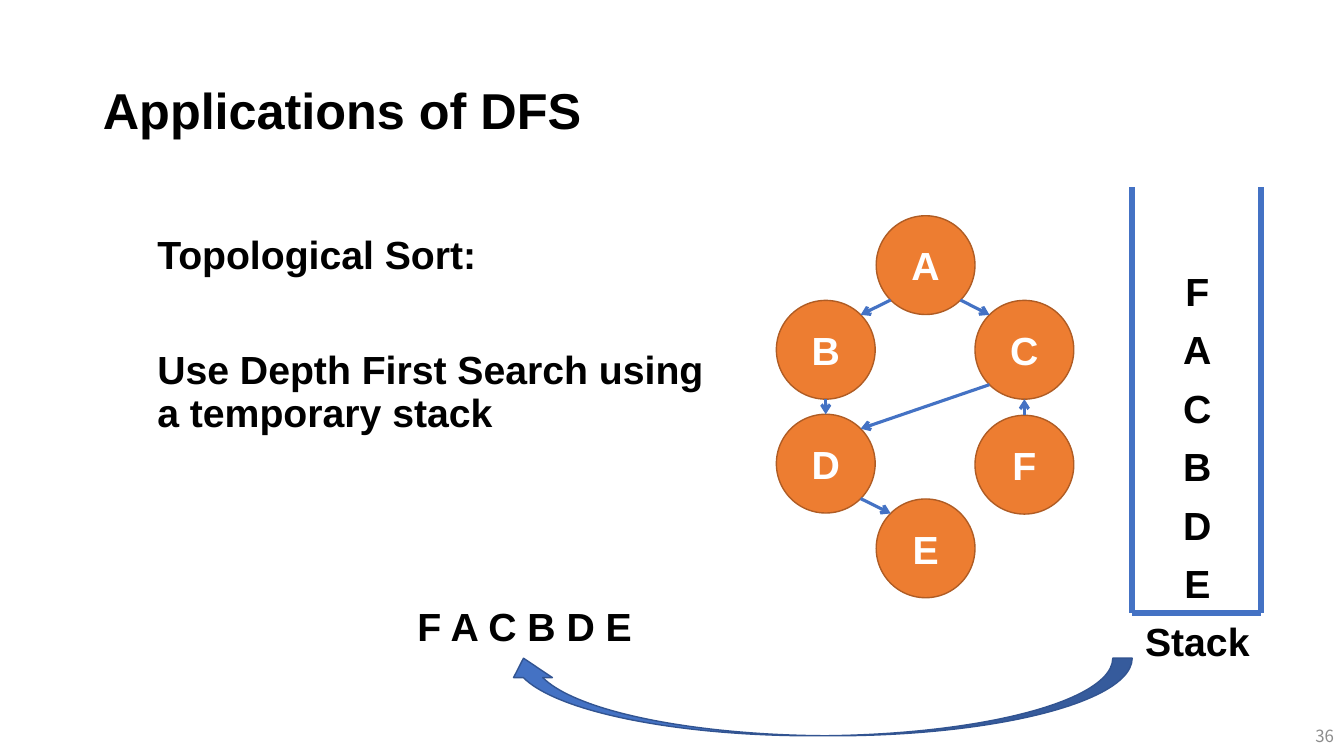
import math

import lxml.etree
import pptx
import pptx.dml.color
import pptx.enum.shapes
import pptx.enum.text
import pptx.oxml.ns
import pptx.util

Inches = pptx.util.Inches
Pt = pptx.util.Pt
ALIGN = pptx.enum.text.PP_ALIGN
ANCHOR = pptx.enum.text.MSO_ANCHOR
SHAPE = pptx.enum.shapes.MSO_SHAPE

COLORS = {
    "text": "000000",
    "node": "ED7D31",
    "node_line": "AF5C24",
    "node_text": "FFFFFF",
    "blue": "4472C4",
    "blue_line": "325491",
    "number": "8C8C8C",
}


def rgb(name):
    return pptx.dml.color.RGBColor.from_string(COLORS[name])


class SlideBuilder:
    """Holds the text style and the current slide."""

    font = "Arial"
    size = 28

    def __init__(self, slide):
        self.slide = slide

    def place(self, shape, left, top, width, height):
        shape.left, shape.top = Inches(left), Inches(top)
        shape.width, shape.height = Inches(width), Inches(height)

    def set_text(self, frame, lines, align=ALIGN.LEFT, color="text", size=None,
                 font=None, bold=True):
        frame.text = "\n".join(lines)
        for paragraph in frame.paragraphs:
            paragraph.alignment = align
            for run in paragraph.runs:
                run.font.name = font or self.font
                run.font.size = Pt(size or self.size)
                run.font.bold = bold
                run.font.color.rgb = rgb(color)

    def title(self, text, *box):
        heading = self.slide.shapes.title
        self.place(heading, *box)
        self.set_text(heading.text_frame, [text], size=36)
        heading.text_frame.vertical_anchor = ANCHOR.MIDDLE
        heading.text_frame.paragraphs[0].line_spacing = 0.9

    def body(self, lines, gap, *box):
        content = self.slide.placeholders[1]
        self.place(content, *box)
        frame = content.text_frame
        self.set_text(frame, lines)
        for index, paragraph in enumerate(frame.paragraphs):
            properties = paragraph._p.get_or_add_pPr()
            properties.set("marL", "0")
            properties.set("indent", "0")
            lxml.etree.SubElement(properties, pptx.oxml.ns.qn("a:buNone"))
            paragraph.line_spacing = 0.9
            paragraph.space_before = Pt(gap if index else 0)
        frame.auto_size = pptx.enum.text.MSO_AUTO_SIZE.NONE

    def label(self, text, left, top, width, height=0.57, wrap=True,
              anchor=ANCHOR.TOP, **style):
        box = self.slide.shapes.add_textbox(
            Inches(left), Inches(top), Inches(width), Inches(height))
        box.text_frame.word_wrap = wrap
        box.text_frame.vertical_anchor = anchor
        self.set_text(box.text_frame, [text], **style)

    def shape(self, kind, fill, line, left, top, width, height):
        shape = self.slide.shapes.add_shape(
            kind, Inches(left), Inches(top), Inches(width), Inches(height))
        shape.shadow.inherit = False
        shape.fill.solid()
        shape.fill.fore_color.rgb = rgb(fill)
        shape.line.color.rgb = rgb(line)
        shape.line.width = Pt(1)
        return shape

    def node(self, letter, center, diameter):
        x, y = center
        circle = self.shape(SHAPE.OVAL, "node", "node_line", x - diameter / 2,
                            y - diameter / 2, diameter, diameter)
        circle.text_frame.vertical_anchor = ANCHOR.MIDDLE
        self.set_text(circle.text_frame, [letter], ALIGN.CENTER, "node_text")

    def line(self, start, end, width, arrow=False):
        connector = self.slide.shapes.add_connector(
            pptx.enum.shapes.MSO_CONNECTOR.STRAIGHT,
            *(Inches(value) for value in (*start, *end)))
        connector.line.color.rgb = rgb("blue")
        connector.line.width = Pt(width)
        if arrow:
            outline = connector._element.spPr.find(pptx.oxml.ns.qn("a:ln"))
            tail = lxml.etree.SubElement(outline, pptx.oxml.ns.qn("a:tailEnd"))
            tail.set("type", "arrow")
        lxml.etree.SubElement(
            connector._element.spPr, pptx.oxml.ns.qn("a:effectLst"))


def rim_point(center, toward, radius):
    """Point on a circle, at the multiple of 45 degrees that faces the target."""
    x, y = center
    dx, dy = toward[0] - x, toward[1] - y
    if abs(dx) < 0.1:
        return x, y + math.copysign(radius, dy)
    diagonal = radius * math.sqrt(0.5)
    return x + math.copysign(diagonal, dx), y + math.copysign(diagonal, dy)


def main():
    deck = pptx.Presentation()
    deck.slide_width, deck.slide_height = Inches(13.33), Inches(7.5)
    page = SlideBuilder(deck.slides.add_slide(deck.slide_layouts[1]))

    # Title, explanation and slide number
    page.title("Applications of DFS", 0.92, 0.4, 11.5, 1.45)
    page.body(["Topological Sort:",
               "Use Depth First Search using a temporary stack"],
              52, 1.46, 2.29, 5.64, 2.25)
    page.label("36", 10.33, 7.1, 3, 0.4, anchor=ANCHOR.MIDDLE,
               align=ALIGN.RIGHT, color="number", size=12,
               font="Noto Sans CJK KR", bold=False)

    # Directed graph
    diameter = 0.98
    left, middle, right = 8.19, 9.18, 10.16
    centers = {
        "A": (middle, 2.63),
        "B": (left, 3.47), "C": (right, 3.47),
        "D": (left, 4.6), "F": (right, 4.61),
        "E": (middle, 5.44),
    }
    for letter, center in centers.items():
        page.node(letter, center, diameter)
    for source, target in ("AB", "AC", "BD", "CD", "DE", "FC"):
        start, end = centers[source], centers[target]
        page.line(rim_point(start, end, diameter / 2),
                  rim_point(end, start, diameter / 2), 2.25, arrow=True)

    # Stack, filled from the bottom up
    wall_left, wall_right, rim, floor = 11.23, 12.51, 1.86, 6.08
    for wall in (wall_left, wall_right):
        page.line((wall, rim), (wall, floor), 4.5)
    page.line((wall_left, floor), (wall_right, floor), 4.5)
    page.label("Stack", 11, floor, 1.75, align=ALIGN.CENTER)
    order = "FACBDE"
    for level, letter in enumerate(reversed(order)):
        page.label(letter, 11.55, 5.5 - 0.58 * level, 0.65,
                   align=ALIGN.CENTER)

    # Sorted result, read off the stack
    page.label(" ".join(order), 4.04, 5.93, 2.35, wrap=False)
    arrow = page.shape(SHAPE.CURVED_UP_ARROW, "blue", "blue_line",
                       5, 6.53, 6.23, 0.77)
    arrow._element.spPr.xfrm.set("flipH", "1")

    deck.save("out.pptx")


if __name__ == "__main__":
    main()
